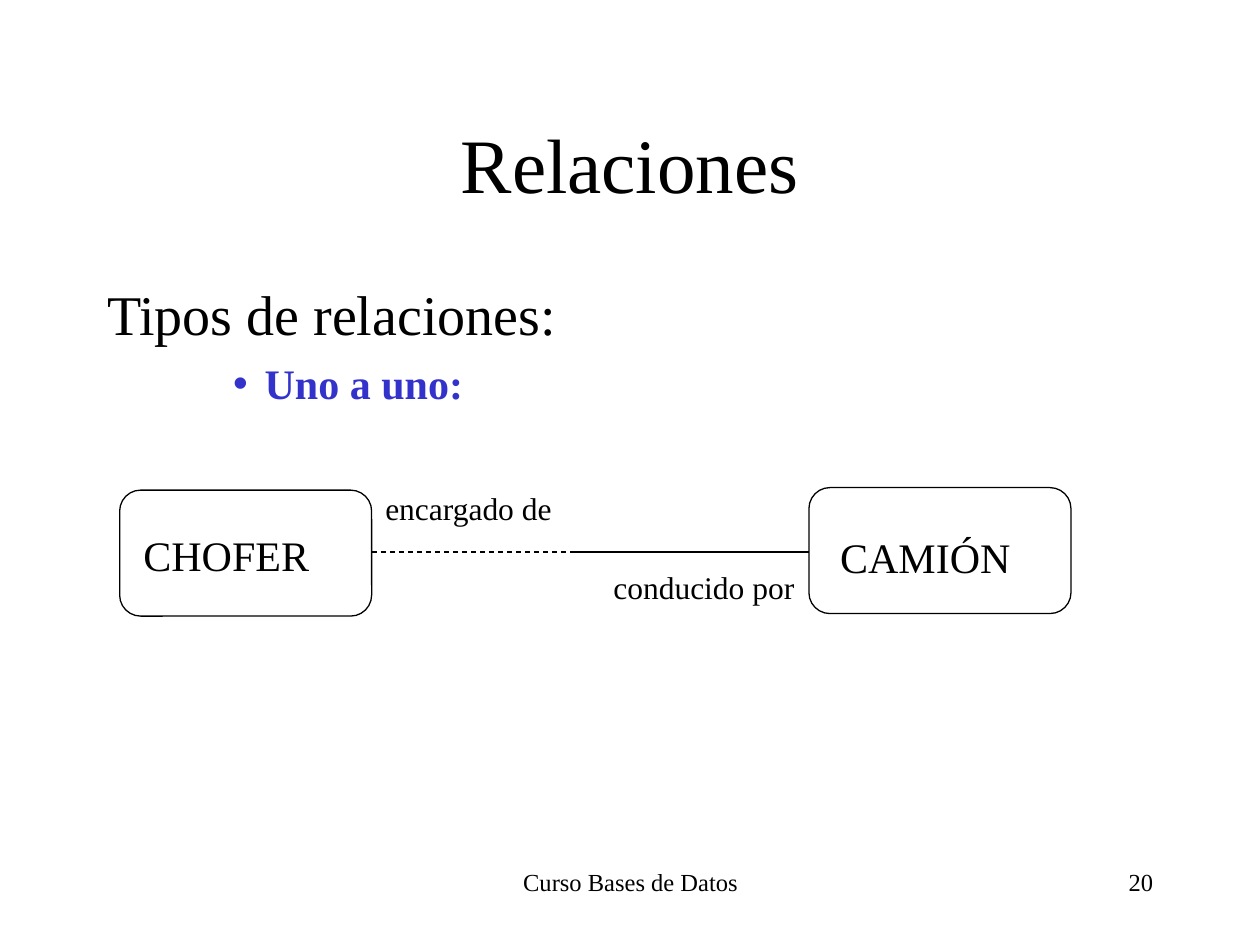
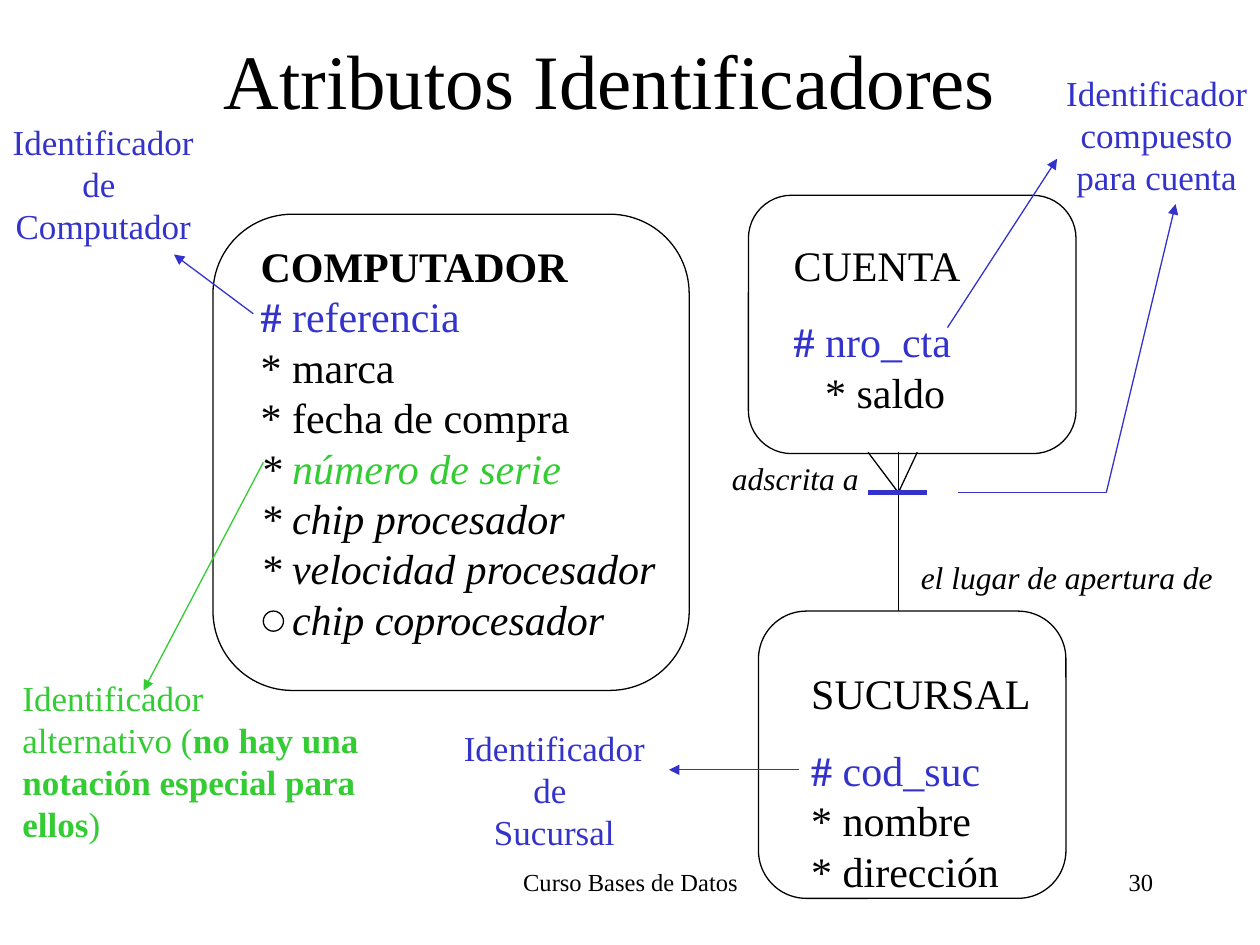
from dataclasses import dataclass

from lxml import etree
from pptx import Presentation
from pptx import util as u
from pptx.dml.color import RGBColor
from pptx.enum import dml, shapes, text
from pptx.oxml.ns import qn


@dataclass(frozen=True)
class Theme:
    font: str = "Times New Roman"
    black: str = "000000"
    blue: str = "3333CC"
    green: str = "33CC33"
    title: int = 44
    lead: int = 32
    entity: int = 24
    note: int = 20
    role: int = 18
    footer: int = 14
    thin: float = 0.75
    thick: float = 2.5


theme = Theme()
LEFT, CENTER, RIGHT = text.PP_ALIGN.LEFT, text.PP_ALIGN.CENTER, text.PP_ALIGN.RIGHT

deck = Presentation()
deck.slide_width, deck.slide_height = u.Inches(10), u.Inches(7.5)
CELL = deck.slide_width // 100  # square grid: 100 columns by 75 rows


def grid(*cells):
    return [round(cell * CELL) for cell in cells]


def write(frame, lines, size, colour=theme.black, align=LEFT):
    """Each line is a string or a list of (words, colour, style letters b and i)."""
    frame.word_wrap = True
    frame.text = "\n".join("" if isinstance(line, list) else line for line in lines)
    for para, line in zip(frame.paragraphs, lines):
        para.alignment = align
        spans = line if isinstance(line, list) else [(line, colour, "")]
        for index, (words, ink, style) in enumerate(spans):
            span = para.runs[index] if index < len(para.runs) else para.add_run()
            span.text = words
            span.font.name, span.font.size = theme.font, u.Pt(size)
            span.font.bold, span.font.italic = "b" in style, "i" in style
            span.font.color.rgb = RGBColor.from_string(ink)


# Pages with title and footer
pages = []
for layout, heading, area, number in [
    (1, "Relaciones", (7.5, 6.7, 85, 12.5), "20"),
    (5, "Atributos Identificadores", (5.9, 0, 85, 12.5), "30"),
]:
    page = deck.slides.add_slide(deck.slide_layouts[layout])
    pages.append(page)
    title = page.shapes.title
    title.left, title.top, title.width, title.height = grid(*area)
    write(title.text_frame, [heading], theme.title, align=CENTER)
    for words, left, width, align in [
        ("Curso Bases de Datos", 34.2, 31.7, CENTER),
        (number, 71.7, 20.8, RIGHT),
    ]:
        footer = page.shapes.add_textbox(*grid(left, 68.3, width, 5))
        write(footer.text_frame, [words], theme.footer, align=align)
relations, identifiers = pages

# List of relation types
body = relations.placeholders[1]
body.left, body.top, body.width, body.height = grid(7.5, 21.7, 85, 17.5)
write(body.text_frame, ["Tipos de relaciones:", [("Uno a uno:", theme.blue, "b")]], theme.lead)
lead, kind = body.text_frame.paragraphs
kind.level = 2
kind.runs[0].font.size = u.Pt(theme.entity)
for para, before, margin, hanging in [(lead, 8, 3.8, -3.8), (kind, 6, 12.5, -2.5)]:
    para.space_before = u.Pt(before)
    props = para._p.get_or_add_pPr()
    for key, cells in [("marL", margin), ("indent", hanging)]:
        props.set(key, str(grid(cells)[0]))
etree.SubElement(lead._p.pPr, qn("a:buNone"))
bullet_ink = etree.SubElement(kind._p.pPr, qn("a:buClr"))
etree.SubElement(bullet_ink, qn("a:srgbClr"), val=theme.blue)
etree.SubElement(kind._p.pPr, qn("a:buChar"), char="•")

# Entity outlines and the optional-attribute ring
ROUNDED, RING = shapes.MSO_SHAPE.ROUNDED_RECTANGLE, shapes.MSO_SHAPE.OVAL
for page, form, area in [
    (relations, ROUNDED, (9.5, 38.9, 20, 10)),
    (relations, ROUNDED, (64.2, 38.7, 20.8, 10)),
    (identifiers, ROUNDED, (16.9, 17, 37.8, 37.8)),
    (identifiers, ROUNDED, (59.4, 15.5, 26, 20.5)),
    (identifiers, ROUNDED, (60.2, 48.5, 24.4, 22.8)),
    (identifiers, RING, (20.9, 48.5, 1.6, 1.6)),
]:
    box = page.shapes.add_shape(form, *grid(*area))
    box.shadow.inherit = False
    box.fill.background()
    box.line.color.rgb = RGBColor.from_string(theme.black)
    box.line.width = u.Pt(theme.thin)

# Entity names and attributes
computer = [
    [("COMPUTADOR", theme.black, "b")],
    [("# ", theme.blue, "b"), ("referencia", theme.blue, "")],
    "* marca",
    "* fecha de compra",
    [("* ", theme.black, "i"), ("número de serie", theme.green, "i")],
    [("* chip procesador", theme.black, "i")],
    [("* velocidad procesador", theme.black, "i")],
    [("chip coprocesador", theme.black, "i")],
]
account = ["CUENTA", [("# ", theme.blue, "b"), ("nro_cta", theme.blue, "")], "* saldo"]
branch = ["SUCURSAL", [("# ", theme.blue, "b"), ("cod_suc", theme.blue, "")],
          "* nombre", "* dirección"]
# The last two values are the line set apart by space and the line indented
for page, lines, area, spaced, indented in [
    (relations, ["CHOFER"], (10.4, 41.5, 17, 5), None, None),
    (relations, ["CAMIÓN"], (65.7, 41.7, 17, 5), None, None),
    (identifiers, computer, (19.7, 18.6, 35, 33), None, 7),
    (identifiers, account, (62, 18.5, 17, 15.1), 1, 2),
    (identifiers, branch, (63.4, 52.5, 21, 19.1), 1, None),
]:
    box = page.shapes.add_textbox(*grid(*area))
    write(box.text_frame, lines, theme.entity)
    if spaced is not None:
        box.text_frame.paragraphs[spaced].space_before = u.Pt(15)
    if indented is not None:
        props = box.text_frame.paragraphs[indented]._p.get_or_add_pPr()
        props.set("marL", str(grid(2.5)[0]))

# Relation roles
for page, role, style, area in [
    (relations, "encargado de", "", (29.6, 38.3, 17, 4)),
    (relations, "conducido por", "", (47.7, 44.6, 18, 4)),
    (identifiers, "adscrita a", "i", (57.1, 35.9, 14, 4)),
    (identifiers, "el lugar de apertura de", "i", (72.1, 43.8, 27, 4)),
]:
    box = page.shapes.add_textbox(*grid(*area))
    write(box.text_frame, [[(role, theme.black, style)]], theme.role)

# Identifier notes
for left, top, rest in [
    (0, 9.1, ["de ", "Computador"]),
    (83.6, 5.2, ["compuesto", "para cuenta"]),
    (35.8, 57.2, ["de ", "Sucursal"]),
]:
    box = identifiers.shapes.add_textbox(*grid(left, top, 16.4, 11))
    box.text_frame.margin_left = box.text_frame.margin_right = CELL // 2
    write(box.text_frame, ["Identificador", *rest], theme.note, theme.blue, CENTER)

box = identifiers.shapes.add_textbox(*grid(0.8, 53.2, 31.9, 14.4))
alternative = [
    ("alternativo (", theme.green, ""),
    ("no hay una notación especial para ellos", theme.green, "b"),
    (")", theme.green, ""),
]
write(box.text_frame, ["Identificador", alternative], theme.note, theme.green)

# Relation lines, crow's foot and pointers
for page, ends, colour, width, finish in [
    (relations, (45.3, 43.8, 64.2, 43.8), theme.black, theme.thin, ""),
    (relations, (29.5, 43.8, 45.3, 43.8), theme.black, theme.thin, "dash"),
    (identifiers, (71.3, 35.9, 71.3, 48.5), theme.black, theme.thin, ""),
    (identifiers, (68.9, 35.9, 71.3, 39.1), theme.black, theme.thin, ""),
    (identifiers, (71.3, 39.1, 72.8, 35.9), theme.black, theme.thin, ""),
    (identifiers, (68.9, 39.1, 73.6, 39.1), theme.blue, theme.thick, ""),
    (identifiers, (87.8, 39.1, 76, 39.1), theme.blue, theme.thin, ""),
    (identifiers, (87.8, 39.1, 93.3, 16.2), theme.blue, theme.thin, "arrow"),
    (identifiers, (75.2, 26, 83.9, 12.6), theme.blue, theme.thin, "arrow"),
    (identifiers, (20.1, 24.9, 13.8, 20.2), theme.blue, theme.thin, "arrow"),
    (identifiers, (63.4, 61.1, 53.1, 61.1), theme.blue, theme.thin, "arrow"),
    (identifiers, (20.9, 36.7, 11.4, 54.8), theme.green, theme.thin, "arrow"),
]:
    link = page.shapes.add_connector(shapes.MSO_CONNECTOR.STRAIGHT, *grid(*ends))
    link.line.color.rgb = RGBColor.from_string(colour)
    link.line.width = u.Pt(width)
    if finish == "dash":
        link.line.dash_style = dml.MSO_LINE.DASH
    if finish == "arrow":
        etree.SubElement(link.line._get_or_add_ln(), qn("a:tailEnd"), type="triangle")
    etree.SubElement(link._element.spPr, qn("a:effectLst"))

deck.save("out.pptx")
